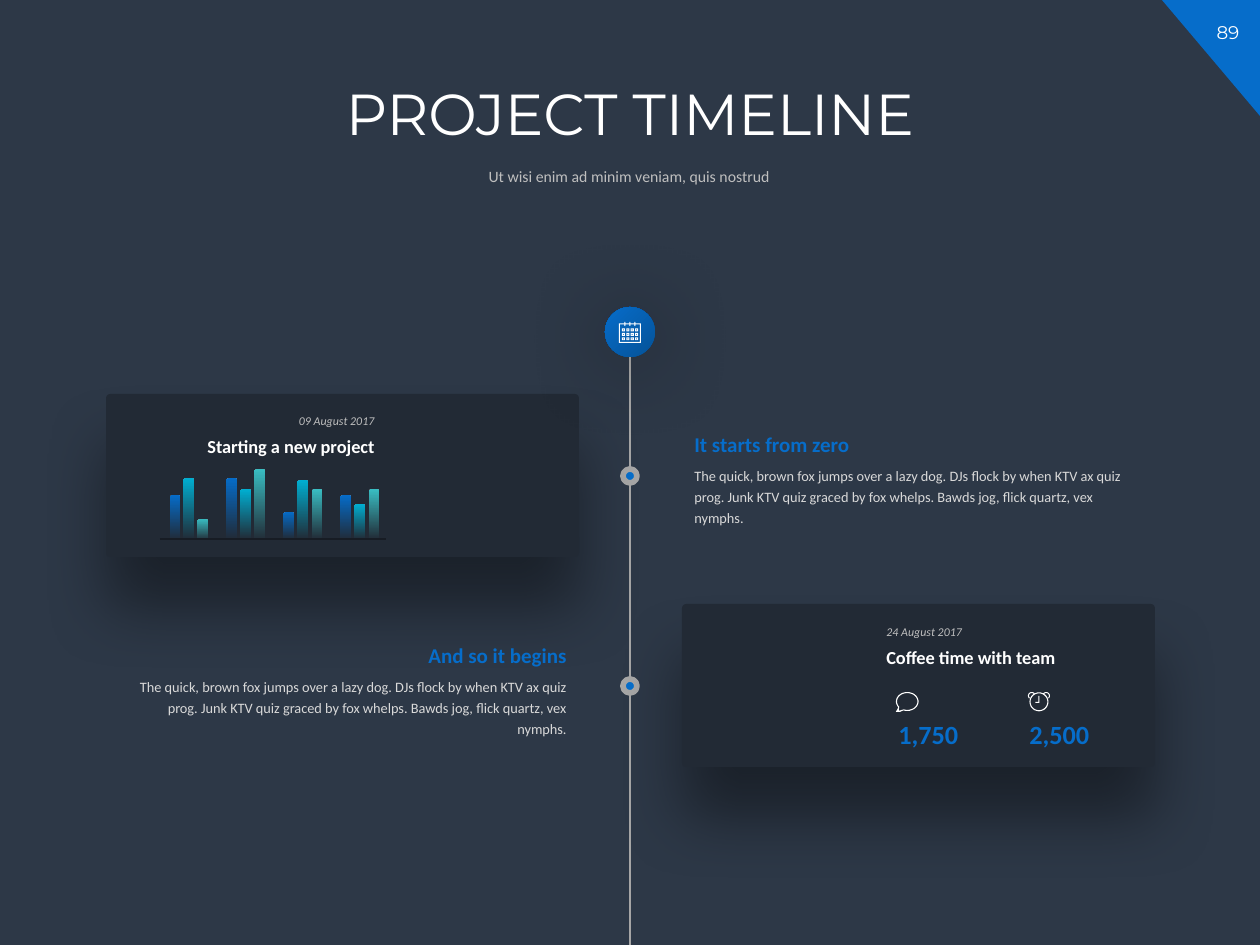
from dataclasses import dataclass
from math import cos, radians, sin

from pptx import Presentation
from pptx.dml.color import RGBColor as Rgb
from pptx.enum.shapes import MSO_CONNECTOR as Link, MSO_SHAPE as Kind
from pptx.enum.text import MSO_ANCHOR as Anchor, PP_ALIGN as Align
from pptx.oxml import parse_xml
from pptx.oxml.ns import nsdecls, qn
from pptx.util import Pt

PX = 914400 / 126


def px(*nums):
    """Turn pixel lengths into EMU."""
    return [round(n * PX) for n in nums]


@dataclass(frozen=True)
class Theme:
    """Colours, fonts and type sizes of the slide."""
    back: str = "2D3847"
    card: str = "222A35"
    blue: str = "066DCA"
    navy: str = "055298"
    cyan: str = "00B0D3"
    teal: str = "3ABFC4"
    white: str = "FFFFFF"
    pale: str = "D9D9D9"
    soft: str = "BFBFBF"
    gray: str = "A6A6A6"
    dark: str = "171C24"
    sans: str = "Calibri"
    head: str = "Montserrat"
    title: float = 33
    count: float = 15
    lead: float = 12
    name: float = 10.5
    sub: float = 9
    body: float = 8.2
    date: float = 6.8


class Deck:
    """Hold the theme and the current slide, and draw on it."""

    def __init__(self, theme):
        """Open a deck with one blank slide."""
        self.t = theme
        self.file = Presentation()
        self.file.slide_width, self.file.slide_height = px(1260, 945)
        self.slide = self.file.slides.add_slide(self.file.slide_layouts[6])
        fill = self.slide.background.fill
        fill.solid()
        fill.fore_color.rgb = Rgb.from_string(theme.back)
        self.all = self.slide.shapes

    def blend(self, fill, node, tones, angle=0, fade=False, round_off=False):
        """Give a fill a two-tone gradient."""
        fill.gradient()
        fill.gradient_angle = angle
        for stop, tone in zip(fill.gradient_stops, tones):
            stop.color.rgb = Rgb.from_string(tone)
        grad = next(node.iter(qn("a:gradFill")))
        if fade:
            last = list(grad.iter(qn("a:srgbClr")))[-1]
            last.append(parse_xml(f'<a:alpha {nsdecls("a")} val="0"/>'))
        if round_off:
            grad.replace(grad.find(qn("a:lin")), parse_xml(
                f'<a:path {nsdecls("a")} path="circle">'
                '<a:fillToRect r="100000" b="100000"/></a:path>'))

    def shape(self, kind, box, fill=None, edge=None):
        """Add a preset shape with a plain fill and an optional edge."""
        item = self.all.add_shape(kind, *px(*box))
        item.shadow.inherit = False
        if fill:
            item.fill.solid()
            item.fill.fore_color.rgb = Rgb.from_string(fill)
        if edge:
            item.line.color.rgb = Rgb.from_string(edge)
            item.line.width = Pt(3.25)
        else:
            item.line.fill.background()
        return item

    def shade(self, item, blur, drop):
        """Cast a soft black shadow straight down."""
        item._element.spPr.find(qn("a:effectLst")).append(parse_xml(
            f'<a:outerShdw {nsdecls("a")} blurRad="{Pt(blur)}" '
            f'dist="{Pt(drop)}" dir="5400000" algn="ctr" rotWithShape="0">'
            '<a:srgbClr val="000000"><a:alpha val="40000"/></a:srgbClr>'
            '</a:outerShdw>'))

    def line(self, ends, tone, width):
        """Add a straight line."""
        item = self.all.add_connector(Link.STRAIGHT, *px(*ends))
        item.line.color.rgb = Rgb.from_string(tone)
        item.line.width = Pt(width)
        item._element.spPr.append(parse_xml(f'<a:effectLst {nsdecls("a")}/>'))

    def text(self, box, words, size, tone, align=Align.LEFT, space=1.0,
             font=None, bold=False, slant=False, anchor=Anchor.TOP):
        """Add a one-paragraph text box and return its run."""
        frame = self.all.add_textbox(*px(*box)).text_frame
        frame.word_wrap = True
        frame.vertical_anchor = anchor
        frame.text = words
        para = frame.paragraphs[0]
        para.alignment, para.line_spacing = align, space
        run = para.runs[0]
        run.font.name, run.font.size = font or self.t.sans, Pt(size)
        run.font.bold, run.font.italic = bold, slant
        run.font.color.rgb = Rgb.from_string(tone)
        return run

    def glow(self, run, round_off=False):
        """Run a blue to teal gradient through the letters."""
        self.blend(run.font.fill, run._r, (self.t.blue, self.t.teal),
                   round_off=round_off)

    def card(self, x, y):
        """Add a dark card with a deep shadow."""
        item = self.shape(Kind.ROUNDED_RECTANGLE, (x, y, 473, 163), self.t.card)
        item.adjustments[0] = 0.026
        self.shade(item, 37, 29)

    def note(self, x, y, head, body, align):
        """Add a bright heading over a short passage."""
        self.text((x, y + 38, 473, 76), body, self.t.body, self.t.pale, align, 1.2)
        self.glow(self.text((x, y, 473, 43), head, self.t.lead, self.t.blue,
                            align, 1.2, bold=True))

    def event(self, x, y, date, name, align):
        """Add a date over the name of an event."""
        self.text((x, y, 266, 30), date, self.t.date, self.t.soft, align, 1.2,
                  slant=True)
        self.text((x, y + 20, 266, 39), name, self.t.name, self.t.white, align,
                  1.2, bold=True)

    def bars(self, x, base, sets):
        """Add sets of fading bars on a base line."""
        tones = self.t.blue, self.t.cyan, self.t.teal
        for i, row in enumerate(sets):
            for j, (high, tone) in enumerate(zip(row, tones)):
                box = x + 57 * i + 14 * j, base - high, 9, high
                bar = self.shape(Kind.ROUND_2_SAME_RECTANGLE, box)
                self.blend(bar.fill, bar._element, (tone, tone), 270, fade=True)
        self.line((x - 10, base, x + 216, base), self.t.dark, 1)

    def icon(self, x, y, loops):
        """Add a white icon from closed loops in tenths of a pixel."""
        pen = self.all.build_freeform(*loops[0][0], scale=PX / 10)
        for loop in loops:
            pen.move_to(*loop[0])
            pen.add_line_segments(loop[1:], close=True)
        item = pen.convert_to_shape(*px(x, y))
        item.shadow.inherit = False
        item.fill.solid()
        item.fill.fore_color.rgb = Rgb.from_string(self.t.white)
        item.line.fill.background()


def rect(x, y, w, h):
    """List the corners of a box."""
    return [(x, y), (x + w, y), (x + w, y + h), (x, y + h)]


def arc(x, y, rx, ry, start=0, end=360):
    """List points along part of an oval."""
    turns = [radians(start + (end - start) * i / 40) for i in range(41)]
    return [(round(x + rx * cos(a)), round(y + ry * sin(a))) for a in turns]


def band(x, y, r, start, end):
    """List the outline of a thin curved strip."""
    return arc(x, y, r, r, start, end) + arc(x, y, r - 10, r - 10, end, start)


def plan():
    """List the loops of a calendar."""
    loops = [rect(0, 15, 220, 195), rect(10, 25, 200, 175)]
    for x in (55, 105, 155):
        loops += [rect(x, 0, 10, 15), rect(x, 25, 10, 15)]
    for x in range(30, 200, 44):
        for y in range(65, 190, 44):
            loops += [rect(x, y, 30, 30), rect(x + 10, y + 10, 10, 10)]
    return loops


def main():
    """Build the timeline slide."""
    t = Theme()
    d = Deck(t)
    fox = ("The quick, brown fox jumps over a lazy dog. DJs flock by when KTV ax quiz "
           "prog. Junk KTV quiz graced by fox whelps. Bawds jog, flick quartz, vex nymphs.")
    d.shape(Kind.RIGHT_TRIANGLE, (1162, 0, 98, 116), t.blue).rotation = 180
    d.text((1196, 15, 64, 35), "89", t.name, t.white, Align.CENTER, font=t.head)

    d.line((630, 333, 630, 945), t.gray, 1.25)
    for y in (469, 679):
        d.shape(Kind.OVAL, (623, y, 14, 14), t.blue, t.gray)
    d.card(682, 604)
    d.card(106, 394)
    d.note(682, 420, "It starts from zero", fox, Align.LEFT)
    d.note(106, 631, "And so it begins", fox, Align.RIGHT)

    d.event(874, 616, "24 August 2017", "Coffee time with team", Align.LEFT)
    for x, count in ((886, "1,750"), (1017, "2,500")):
        d.glow(d.text((x, 712, 112, 44), count, t.count, t.blue, bold=True), True)
    d.icon(1028, 692, [arc(110, 98, 95, 95), arc(110, 98, 84, 84),
                       rect(105, 40, 10, 70), rect(75, 100, 30, 10),
                       band(38, 38, 38, 135, 315), band(182, 38, 38, 225, 405)])
    d.icon(896, 692, [arc(113, 95, 113, 95, 142, 470) + [(40, 200), (0, 198)],
                      arc(113, 95, 102, 84, 142, 470) + [(28, 188)]])

    d.event(121, 405, "09 August 2017", "Starting a new project", Align.RIGHT)
    d.bars(170, 539, ((43, 60, 19), (60, 49, 69), (26, 58, 49), (43, 34, 49)))

    disc = d.shape(Kind.OVAL, (605, 307, 50, 50))
    d.blend(disc.fill, disc._element, (t.blue, t.navy), round_off=True)
    d.shade(disc, 50, 4)
    d.icon(619, 322, plan())

    d.text((72, 79, 1116, 92), "PROJECT TIMELINE", t.title, t.white, Align.CENTER,
           0.9, t.head)
    d.text((175, 161, 908, 33), "Ut wisi enim ad minim veniam, quis nostrud", t.sub,
           t.soft, Align.CENTER, 0.9, anchor=Anchor.MIDDLE)
    d.file.save("out.pptx")


if __name__ == "__main__":
    main()
